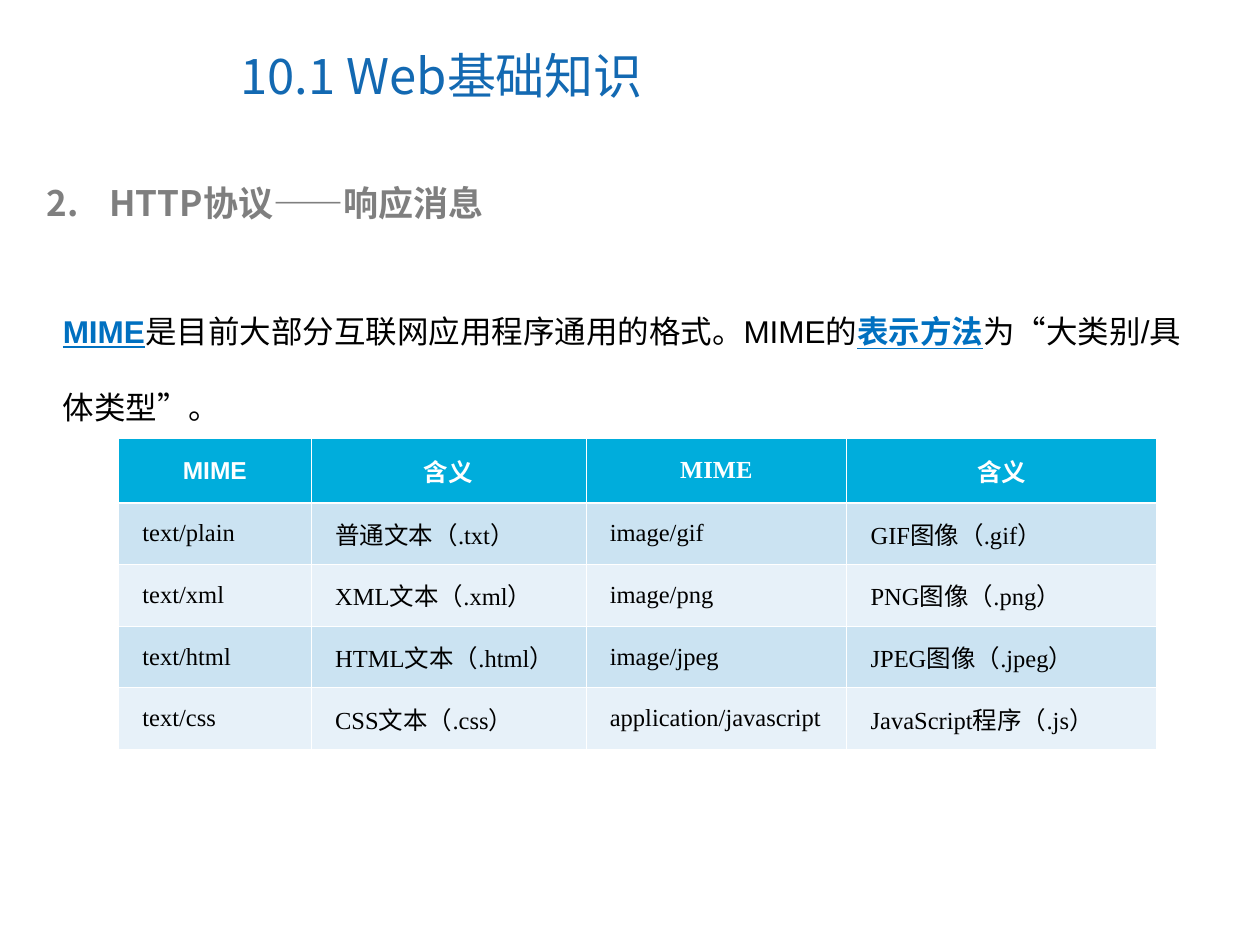
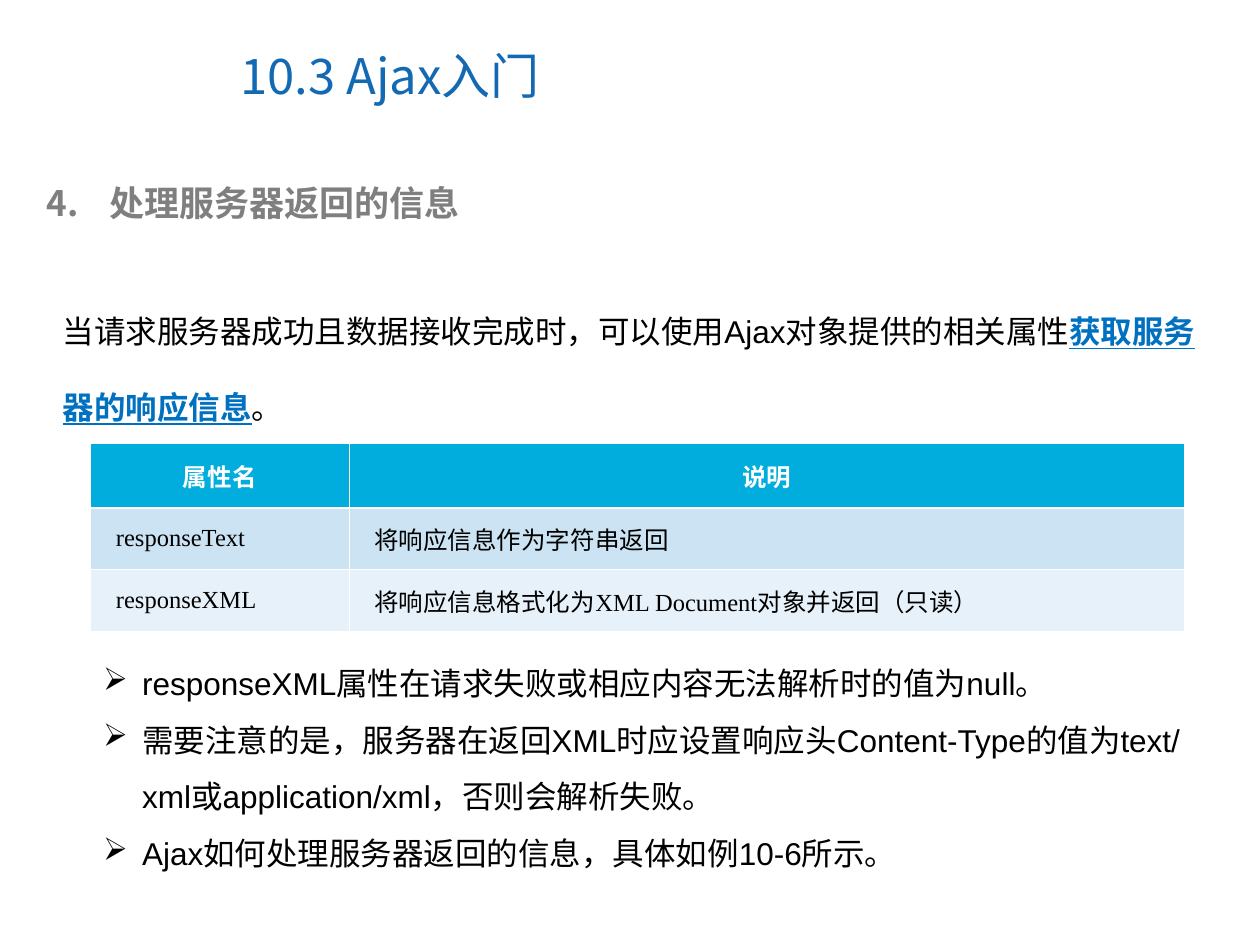
"""Build two lesson slides about MIME types and Ajax responses."""
from dataclasses import dataclass

from lxml import etree
from pptx import Presentation
from pptx.dml.color import RGBColor
from pptx.enum.text import MSO_ANCHOR, PP_ALIGN
from pptx.oxml.ns import qn
from pptx.util import Inches, Pt

MIDDLE = MSO_ANCHOR.MIDDLE
LEFT, CENTER = PP_ALIGN.LEFT, PP_ALIGN.CENTER

COLORS = {
    "title": "1369B2",
    "heading": "7F7F7F",
    "body": "000000",
    "emphasis": "0070C0",
    "header": "00ADDC",
    "odd_row": "CBE3F2",
    "even_row": "E7F1F9",
    "white": "FFFFFF",
}
CJK, SANS, SERIF = "Noto Sans CJK SC", "Arial", "Times New Roman"
HEADER_HEIGHT, ROW_HEIGHT = 0.51, 0.49
THIN, THICK = 0.45, 1.47


@dataclass(frozen=True)
class Style:
    size: float
    font: str
    color: str
    bold: bool = False
    underline: bool = False


@dataclass(frozen=True)
class Span:
    text: str
    emphasised: bool = False


@dataclass(frozen=True)
class Grid:
    left: float
    top: float
    widths: tuple[float, ...]
    header_fonts: tuple[str, ...]
    rows: tuple[tuple[str, ...], ...]
    body_margin: float


@dataclass(frozen=True)
class Lesson:
    title: str
    number: int
    heading: str
    intro: tuple[Span, ...]
    grid: Grid
    notes: tuple[str, ...] = ()


TITLE = Style(28, CJK, "title")
HEADING = Style(20, CJK, "heading", bold=True)
BODY = Style(18, SANS, "body")
EMPHASIS = Style(18, SANS, "emphasis", bold=True, underline=True)

LESSONS = (
    Lesson(
        "10.1 Web基础知识",
        2,
        "HTTP协议——响应消息",
        (
            Span("MIME", True),
            Span("是目前大部分互联网应用程序通用的格式。MIME的"),
            Span("表示方法", True),
            Span("为“大类别/具体类型”。"),
        ),
        Grid(
            0.94, 3.48, (1.53, 2.18, 2.07, 2.46), (SANS, SERIF, SERIF, SERIF),
            (
                ("MIME", "含义", "MIME", "含义"),
                ("text/plain", "普通文本（.txt）", "image/gif", "GIF图像（.gif）"),
                ("text/xml", "XML文本（.xml）", "image/png", "PNG图像（.png）"),
                ("text/html", "HTML文本（.html）", "image/jpeg", "JPEG图像（.jpeg）"),
                ("text/css", "CSS文本（.css）", "application/javascript",
                 "JavaScript程序（.js）"),
            ),
            0.07,
        ),
    ),
    Lesson(
        "10.3 Ajax入门",
        4,
        "处理服务器返回的信息",
        (
            Span("当请求服务器成功且数据接收完成时，可以使用Ajax对象提供的相关属性"),
            Span("获取服务器的响应信息", True),
            Span("。"),
        ),
        Grid(
            0.72, 3.52, (2.05, 6.63), (SERIF, SERIF),
            (
                ("属性名", "说明"),
                ("responseText", "将响应信息作为字符串返回"),
                ("responseXML", "将响应信息格式化为XML Document对象并返回（只读）"),
            ),
            0.08,
        ),
        (
            "responseXML属性在请求失败或相应内容无法解析时的值为null。",
            "需要注意的是，服务器在返回XML时应设置响应头Content-Type的值为"
            "text/xml或application/xml，否则会解析失败。",
            "Ajax如何处理服务器返回的信息，具体如例10-6所示。",
        ),
    ),
)


def rgb(name: str) -> RGBColor:
    """Return the named palette colour."""
    return RGBColor.from_string(COLORS[name])


def format_run(run, style: Style) -> None:
    """Apply a style, with the Chinese typeface for East Asian text."""
    font = run.font
    font.size = Pt(style.size)
    font.name = style.font
    font.bold = style.bold
    font.underline = style.underline
    font.color.rgb = rgb(style.color)
    latin = run._r.rPr.find(qn("a:latin"))
    latin.addnext(etree.Element(qn("a:ea"), typeface=CJK))


def add_marker(paragraph, indent: float, color: str, tag: str, **attributes: str) -> None:
    """Give a paragraph a hanging bullet or number."""
    properties = paragraph._p.get_or_add_pPr()
    properties.set("marL", str(Inches(indent)))
    properties.set("indent", str(-Inches(indent)))
    bullet_color = etree.SubElement(properties, qn("a:buClr"))
    etree.SubElement(bullet_color, qn("a:srgbClr"), val=COLORS[color])
    etree.SubElement(properties, qn(tag), **attributes)


def add_text_frame(slide, left: float, top: float, width: float, height: float):
    """Add a wrapping text box and return its text frame."""
    box = slide.shapes.add_textbox(Inches(left), Inches(top), Inches(width), Inches(height))
    box.text_frame.word_wrap = True
    return box.text_frame


def set_title(slide, text: str) -> None:
    """Place and format the title placeholder."""
    title = slide.shapes.title
    title.left, title.top = Inches(1.81), Inches(0.17)
    title.width, title.height = Inches(5.16), Inches(0.85)
    frame = title.text_frame
    frame.text = text
    frame.vertical_anchor = MIDDLE
    frame.paragraphs[0].alignment = LEFT
    format_run(frame.paragraphs[0].runs[0], TITLE)


def add_heading(slide, number: int, text: str) -> None:
    """Add the numbered section heading."""
    paragraph = add_text_frame(slide, 0.27, 1.39, 9.22, 0.44).paragraphs[0]
    paragraph.text = text
    add_marker(paragraph, 0.5, "heading", "a:buAutoNum",
               type="arabicPeriod", startAt=str(number))
    format_run(paragraph.runs[0], HEADING)


def add_intro(slide, spans: tuple[Span, ...]) -> None:
    """Add the introduction with its emphasised words."""
    paragraph = add_text_frame(slide, 0.4, 2.13, 9.19, 1.3).paragraphs[0]
    paragraph.line_spacing = 2.0
    for span in spans:
        run = paragraph.add_run()
        run.text = span.text
        format_run(run, EMPHASIS if span.emphasised else BODY)


def add_borders(cell, top: float, bottom: float) -> None:
    """Draw white borders round a cell."""
    properties = cell._tc.get_or_add_tcPr()
    for side, width in (("L", THIN), ("R", THIN), ("T", top), ("B", bottom)):
        line = etree.SubElement(properties, qn(f"a:ln{side}"), w=str(Pt(width)))
        fill = etree.SubElement(line, qn("a:solidFill"))
        etree.SubElement(fill, qn("a:srgbClr"), val=COLORS["white"])


def fill_cell(cell, text: str, row: int, font: str, margin: float) -> None:
    """Write and format one cell according to its row."""
    is_header = row == 0
    add_borders(cell, THICK if row == 1 else THIN, THICK if is_header else THIN)
    cell.fill.solid()
    band = "header" if is_header else "odd_row" if row % 2 else "even_row"
    cell.fill.fore_color.rgb = rgb(band)
    cell.vertical_anchor = MIDDLE
    cell.margin_left = cell.margin_right = Inches(margin)
    cell.text = text
    paragraph = cell.text_frame.paragraphs[0]
    if is_header:
        paragraph.alignment = CENTER
    else:
        paragraph._p.get_or_add_pPr().set("marL", str(Inches(0.12)))
    color = "white" if is_header else "body"
    format_run(paragraph.runs[0], Style(14, font, color, bold=is_header))


def add_grid(slide, grid: Grid) -> None:
    """Add a table with a header and banded rows."""
    height = HEADER_HEIGHT + ROW_HEIGHT * (len(grid.rows) - 1)
    table = slide.shapes.add_table(
        len(grid.rows), len(grid.widths), Inches(grid.left), Inches(grid.top),
        Inches(sum(grid.widths)), Inches(height),
    ).table
    for column, width in zip(table.columns, grid.widths):
        column.width = Inches(width)
    for row, texts in enumerate(grid.rows):
        table.rows[row].height = Inches(ROW_HEIGHT if row else HEADER_HEIGHT)
        for column, text in enumerate(texts):
            font = SERIF if row else grid.header_fonts[column]
            margin = grid.body_margin if row else 0.07
            fill_cell(table.cell(row, column), text, row, font, margin)


def add_notes(slide, notes: tuple[str, ...]) -> None:
    """Add the bulleted remarks below the table."""
    frame = add_text_frame(slide, 0.72, 5.07, 8.87, 1.9)
    frame.text = "\n".join(notes)
    for paragraph in frame.paragraphs:
        paragraph.line_spacing = 1.5
        add_marker(paragraph, 0.31, "body", "a:buChar", char="➢")
        format_run(paragraph.runs[0], BODY)


def main() -> None:
    """Build every lesson slide and save the presentation."""
    presentation = Presentation()
    presentation.slide_width, presentation.slide_height = Inches(10), Inches(7.5)
    title_only = presentation.slide_layouts[5]
    for lesson in LESSONS:
        slide = presentation.slides.add_slide(title_only)
        set_title(slide, lesson.title)
        add_heading(slide, lesson.number, lesson.heading)
        add_intro(slide, lesson.intro)
        add_grid(slide, lesson.grid)
        if lesson.notes:
            add_notes(slide, lesson.notes)
    presentation.save("out.pptx")


if __name__ == "__main__":
    main()
